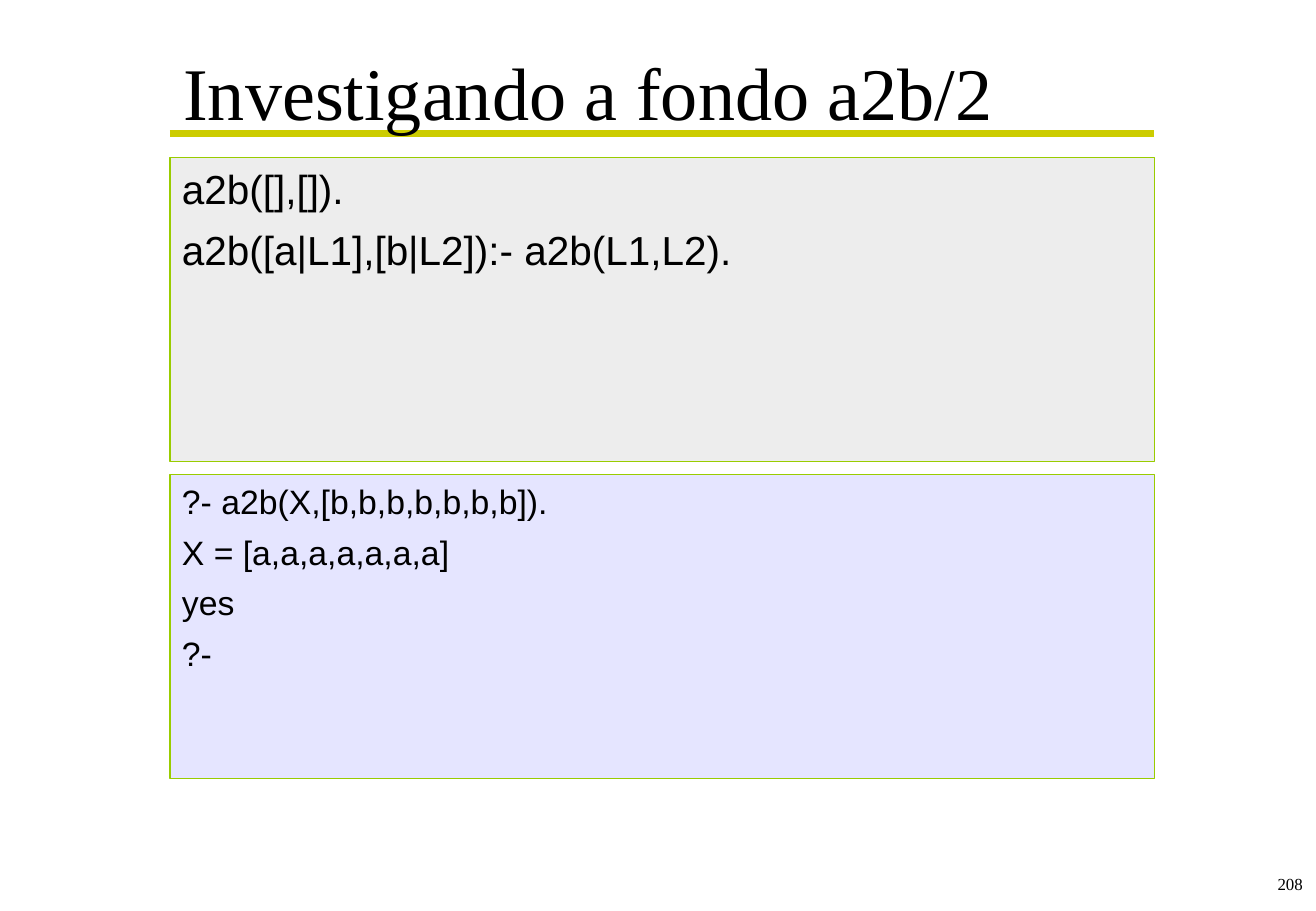
from typing import NamedTuple

from lxml.etree import SubElement
from pptx import Presentation
from pptx.dml.color import RGBColor as Rgb
from pptx.enum.shapes import MSO_CONNECTOR as Link, MSO_SHAPE as Form
from pptx.enum.text import MSO_ANCHOR as Anchor, MSO_AUTO_SIZE as Fit, PP_ALIGN as Align
from pptx.oxml.ns import qn
from pptx.slide import Slide
from pptx.text.text import TextFrame
from pptx.util import Inches, Pt

COLORS = {
    "ink": "000000",
    "rule": "CCCC00",
    "edge": "99CC00",
    "code": "DDDDDD",
    "query": "CCCCFF",
}
SERIF = "Times New Roman"
SANS = "Arial"
LEFT = 1.4
WIDTH = 8.11


class Panel(NamedTuple):
    top: float
    fill: str
    size: int
    lines: list[str]


PANELS = [
    Panel(1.3, "code", 24, ["a2b([],[]).", "a2b([a|L1],[b|L2]):- a2b(L1,L2)."]),
    Panel(3.91, "query", 20, ["?- a2b(X,[b,b,b,b,b,b,b]).", "X = [a,a,a,a,a,a,a]", "yes", "?-"]),
]


def color(name: str) -> Rgb:
    return Rgb.from_string(COLORS[name])


def style(frame: TextFrame, font: str, size: int, align: Align, anchor: Anchor) -> None:
    frame.word_wrap = True
    frame.auto_size = Fit.NONE
    frame.vertical_anchor = anchor
    for para in frame.paragraphs:
        para.alignment = align
        for run in para.runs:
            run.font.name = font
            run.font.size = Pt(size)
            run.font.color.rgb = color("ink")


def add_title(slide: Slide, text: str) -> None:
    title = slide.shapes.title
    title.left, title.top = Inches(1.41), Inches(0.28)
    title.width, title.height = Inches(8.1), Inches(0.93)
    title.text_frame.text = text
    style(title.text_frame, SERIF, 44, Align.LEFT, Anchor.MIDDLE)
    y = Inches(1.1)
    rule = slide.shapes.add_connector(Link.STRAIGHT, Inches(LEFT), y, Inches(LEFT + WIDTH), y)
    rule.line.color.rgb = color("rule")
    rule.line.width = Pt(4.5)
    SubElement(rule.element.spPr, qn("a:effectLst"))
    title.element.addprevious(rule.element)


def add_panel(slide: Slide, panel: Panel) -> None:
    box = slide.shapes.add_shape(
        Form.RECTANGLE, Inches(LEFT), Inches(panel.top), Inches(WIDTH), Inches(2.5)
    )
    box.shadow.inherit = False
    box.fill.solid()
    box.fill.fore_color.rgb = color(panel.fill)
    tint = box.element.spPr.find(qn("a:solidFill")).find(qn("a:srgbClr"))
    SubElement(tint, qn("a:alpha"), val="50000")
    box.line.color.rgb = color("edge")
    box.line.width = Pt(0.75)
    frame = box.text_frame
    frame.text = "\n".join(panel.lines)
    style(frame, SANS, panel.size, Align.LEFT, Anchor.TOP)
    for place, para in enumerate(frame.paragraphs):
        props = para._p.get_or_add_pPr()
        props.set("marL", str(Inches(0.38)))
        props.set("indent", str(Inches(-0.38)))
        if place:
            para.space_before = Pt(panel.size * 0.3)


def add_number(slide: Slide, text: str) -> None:
    box = slide.shapes.add_textbox(Inches(9.03), Inches(7.14), Inches(1.8), Inches(0.36))
    box.text_frame.text = text
    style(box.text_frame, SERIF, 10, Align.RIGHT, Anchor.TOP)


def main() -> None:
    deck = Presentation()
    deck.slide_width, deck.slide_height = Inches(10.84), Inches(7.5)
    slide = deck.slides.add_slide(deck.slide_layouts[5])
    add_title(slide, "Investigando a fondo a2b/2")
    for panel in PANELS:
        add_panel(slide, panel)
    add_number(slide, "208")
    deck.save("out.pptx")


if __name__ == "__main__":
    main()
